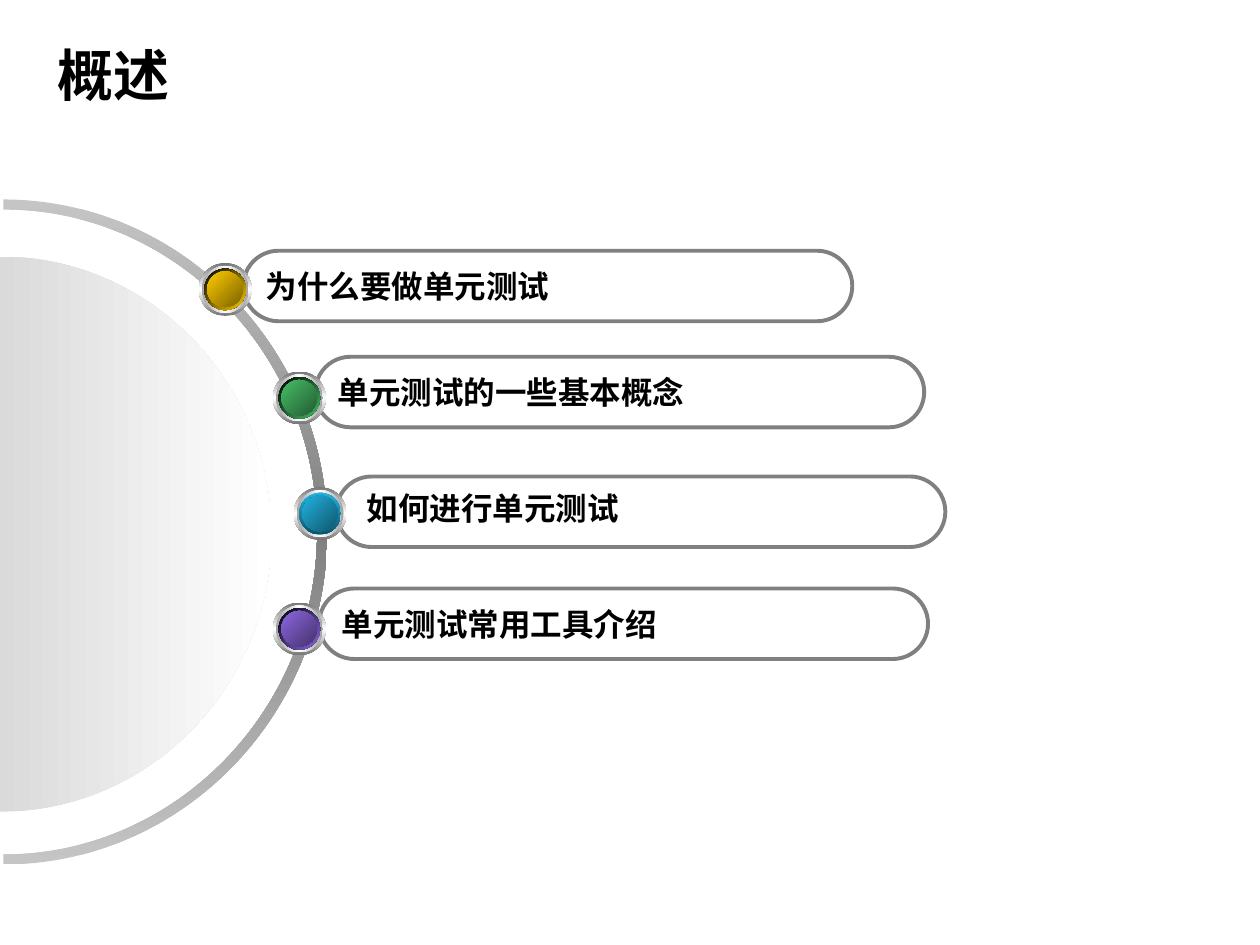
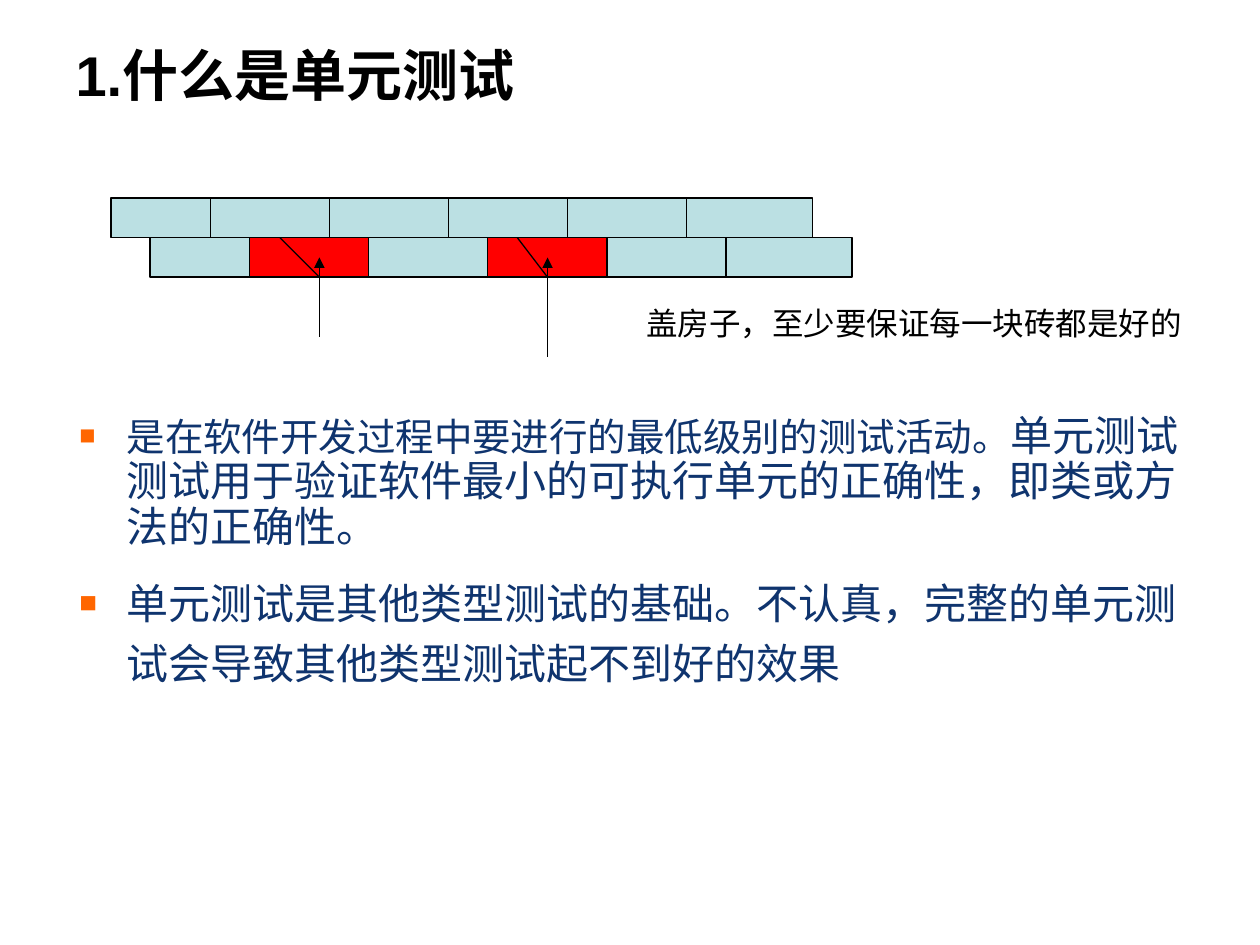
from copy import deepcopy

from lxml.etree import SubElement as Sub
from pptx import Presentation
from pptx.dml.color import RGBColor as Rgb
from pptx.enum.shapes import MSO_CONNECTOR as Link, MSO_SHAPE as Kind
from pptx.enum.text import MSO_ANCHOR as Anchor, PP_ALIGN as Align
from pptx.oxml.ns import qn
from pptx.util import Pt

COLORS = {
    "black": "000000", "white": "FFFFFF", "gray": "808080", "silver": "C5C5C5",
    "pale": "DADADA", "rim": "767676", "bevel": "A2A2A2", "teal": "009999",
    "deep": "005353", "brick": "BBE0E3", "red": "FF0000", "navy": "0F346E",
    "orange": "FF6600", "gold": "FFCC00", "bronze": "7C6300", "green": "48BE67",
    "moss": "235C32", "blue": "21B3E1", "ocean": "10576D", "abyss": "0F5368",
    "violet": "8D67E1", "plum": "45326D",
}
LATIN, HAN = "Arial", "Noto Sans CJK SC"
BEND = 0.55

TOPICS = [
    ("为什么要做单元测试", (139, 143.3), (113.6, 150.3), ("black", "gold"), "gold", "bronze", 45),
    ("单元测试的一些基本概念", (180.1, 203.9), (156, 212.3), ("black", "green"), "green", "moss", 45),
    ("如何进行单元测试", (192.2, 272.3), (167.8, 278.4), ("blue", "abyss"), "blue", "ocean", 90),
    ("单元测试常用工具介绍", (182.3, 336.3), (156, 344.3), ("black", "violet"), "violet", "plum", 45),
]
POINTS = [
    (0.9, [("是在软件开发过程中要进行的最低级别的测试活动。", 22),
           ("单元测试测试用于验证软件最小的可执行单元的正确性，即类或方法的正确性。", 24)]),
    (1.2, [("单元测试是其他类型测试的基础。不认真，完整的单元测试会导致其他类型测试起不到好的效果", 24)]),
]


def rgb(name):
    """Look up a colour by name."""
    return Rgb.from_string(COLORS[name])


def style(run, size, color="black", bold=False, face=LATIN):
    """Format one run, with the same face for Latin and Chinese."""
    font = run.font
    font.size, font.bold, font.name = Pt(size), bold, face
    font.color.rgb = rgb(color)
    Sub(run._r.get_or_add_rPr(), qn("a:ea"), typeface=face)


def write(shape, text, size, bold=False, face=LATIN):
    """Put one left-aligned paragraph in a shape."""
    frame = shape.text_frame
    frame.text = text
    para = frame.paragraphs[0]
    para.alignment = Align.LEFT
    style(para.runs[0], size, bold=bold, face=face)
    return frame


def blend(shape, names, angle):
    """Fill a shape with evenly spaced colours at a clockwise angle."""
    shape.shadow.inherit = False
    shape.line.fill.background()
    fill = shape.fill
    fill.gradient()
    fill.gradient_angle = (360 - angle) % 360
    stops = shape._element.spPr.find(qn("a:gradFill")).find(qn("a:gsLst"))
    while len(stops) < len(names):
        stops.append(deepcopy(stops[0]))
    for i, (stop, name) in enumerate(zip(fill.gradient_stops, names)):
        stop.position = i / (len(names) - 1)
        stop.color.rgb = rgb(name)


def start(deck, text, left, face):
    """Add a slide with the shared title style."""
    slide = deck.slides.add_slide(deck.slide_layouts[5])
    title = slide.shapes.title
    title.left, title.top, title.width, title.height = Pt(left), Pt(20.5), Pt(648), Pt(44)
    write(title, text, 32, True, face).vertical_anchor = Anchor.MIDDLE
    return slide


def label(slide, text, left, top, width, bold=False):
    """Add a one-line text box."""
    box = slide.shapes.add_textbox(Pt(left), Pt(top), Pt(width), Pt(29))
    write(box, text, 18, bold).word_wrap = False


def arc(x, y, wide, high):
    """List ends and handles of two curves down a half ellipse."""
    spots = [(0, -1), (BEND, -1), (1, -BEND), (1, 0), (1, BEND), (BEND, 1), (0, 1)]
    return [(Pt(x + wide * u), Pt(y + high * v)) for u, v in spots]


def outline(slide, arcs, names, angle):
    """Draw a closed outline of half ellipses with a gradient."""
    dots = sum(arcs, [])
    pen = slide.shapes.build_freeform(*dots[0])
    pen.add_line_segments(dots[1:], close=True)
    shape = pen.convert_to_shape()
    lines = list(shape._element.iter(qn("a:lnTo")))
    for first in range(0, len(lines), 7):
        for i in (first, first + 3):
            curve = Sub(lines[i].getparent(), qn("a:cubicBezTo"))
            lines[i].addprevious(curve)
            for line in lines[i:i + 3]:
                curve.append(line[0])
                line.getparent().remove(line)
    blend(shape, names, angle)


def dial(slide, x, y):
    """Draw the half ring and half disc around a centre."""
    ring = [arc(x + 2, y, 185, 190), arc(x + 2, y, 179.3, 184.3)[::-1]]
    outline(slide, ring, ["silver", "gray", "silver"], 90)
    outline(slide, [arc(x, y + 1.2, 155, 158.6)], ["pale", "white"], 0)


def pill(slide, left, top, text):
    """Draw a rounded frame with its topic, if any."""
    shape = slide.shapes.add_shape(
        Kind.ROUNDED_RECTANGLE, Pt(left), Pt(top), Pt(348), Pt(40.3))
    shape.adjustments[0] = 0.5
    shape.shadow.inherit = False
    shape.fill.background()
    shape.line.color.rgb = rgb("gray")
    shape.line.width = Pt(2.25)
    if text:
        write(shape, text, 18, True).vertical_anchor = Anchor.MIDDLE


def bead(slide, left, top, edge, light, dark, angle):
    """Stack the round layers of one bead."""
    group = slide.shapes.add_group_shape()
    layers = [
        (0, 30.2, ["rim", "white", "rim"], 90),
        (1.7, 26.8, ["bevel", "white", "bevel"], 0),
        (3.2, 23.8, ["white", "teal", "white"], 45),
        (3.2, 23.8, edge, angle),
        (4.8, 20.4, ["deep", "teal", "deep"], 315),
        (4.8, 20.4, [light, dark], 45),
    ]
    for inset, size, names, turn in layers:
        disc = group.shapes.add_shape(
            Kind.OVAL, Pt(left + inset), Pt(top + inset), Pt(size), Pt(size))
        blend(disc, names, turn)


def agenda(deck):
    """Build the overview slide."""
    slide = start(deck, "概述", 25.5, HAN)
    dial(slide, 0, 304)
    loose = TOPICS[2]
    for topic in reversed(TOPICS):
        pill(slide, *topic[1], "" if topic is loose else topic[0])
    for text, spot, place, *look in TOPICS:
        bead(slide, *place, *look)
    label(slide, loose[0], 202.5, 275.8, 158.4, True)


def course(slide, left, top, reds=()):
    """Lay one row of overlapping bricks."""
    for i in range(6):
        x = left + (56.9 + 68.05 * (i - 1) if i else 0)
        brick = slide.shapes.add_shape(Kind.RECTANGLE, Pt(x), Pt(top), Pt(72), Pt(22.5))
        brick.shadow.inherit = False
        brick.fill.solid()
        brick.fill.fore_color.rgb = rgb("red" if i in reds else "brick")
        brick.line.color.rgb = rgb("black")
        brick.line.width = Pt(0.75)


def stroke(slide, x1, y1, x2, y2, arrow=False):
    """Draw a thin black line, with an arrowhead if asked."""
    line = slide.shapes.add_connector(Link.STRAIGHT, Pt(x1), Pt(y1), Pt(x2), Pt(y2))
    line.line.color.rgb = rgb("black")
    line.line.width = Pt(0.75)
    props = line._element.spPr
    if arrow:
        Sub(props.find(qn("a:ln")), qn("a:tailEnd"), type="triangle")
    Sub(props, qn("a:effectLst"))


def wall(slide, left, top):
    """Draw the wall, its cracks and the arrows to them."""
    course(slide, left, top)
    course(slide, left + 22.4, top + 22.6, (1, 3))
    hits = [(119.1, 22.4, 79.2), (249.5, 17.2, 90.6)]
    for x, lean, drop in hits:
        foot = left + x
        stroke(slide, foot, top + drop, foot, top + 33.9, True)
    for x, lean, drop in hits:
        foot = left + x
        stroke(slide, foot - lean, top + 22.7, foot, top + 45.2)


def bullets(slide, left, top, width, height):
    """Write the bulleted points."""
    box = slide.shapes.add_textbox(Pt(left), Pt(top), Pt(width), Pt(height))
    frame = box.text_frame
    frame.word_wrap = True
    for i, (pitch, parts) in enumerate(POINTS):
        para = frame.add_paragraph() if i else frame.paragraphs[0]
        props = para._p.get_or_add_pPr()
        props.set("marL", str(Pt(27)))
        props.set("indent", str(-Pt(27)))
        Sub(Sub(props, qn("a:buClr")), qn("a:srgbClr"), val=COLORS["orange"])
        Sub(props, qn("a:buSzPct"), val="70000")
        Sub(props, qn("a:buFont"), typeface=LATIN)
        Sub(props, qn("a:buChar"), char="■")
        para.line_spacing = pitch
        para.space_before = Pt(9 if i else 0)
        for text, size in parts:
            run = para.add_run()
            run.text = text
            style(run, size, "navy")


def basics(deck):
    """Build the slide on what unit testing is."""
    slide = start(deck, "1.什么是单元测试", 36, LATIN)
    bullets(slide, 38.3, 233.7, 648, 204)
    wall(slide, 63.4, 113.2)
    label(slide, "盖房子，至少要保证每一块砖都是好的", 362.2, 170, 320.4)


def main():
    """Build and save the deck."""
    deck = Presentation()
    deck.slide_width, deck.slide_height = Pt(720), Pt(540)
    agenda(deck)
    basics(deck)
    deck.save("out.pptx")


if __name__ == "__main__":
    main()
